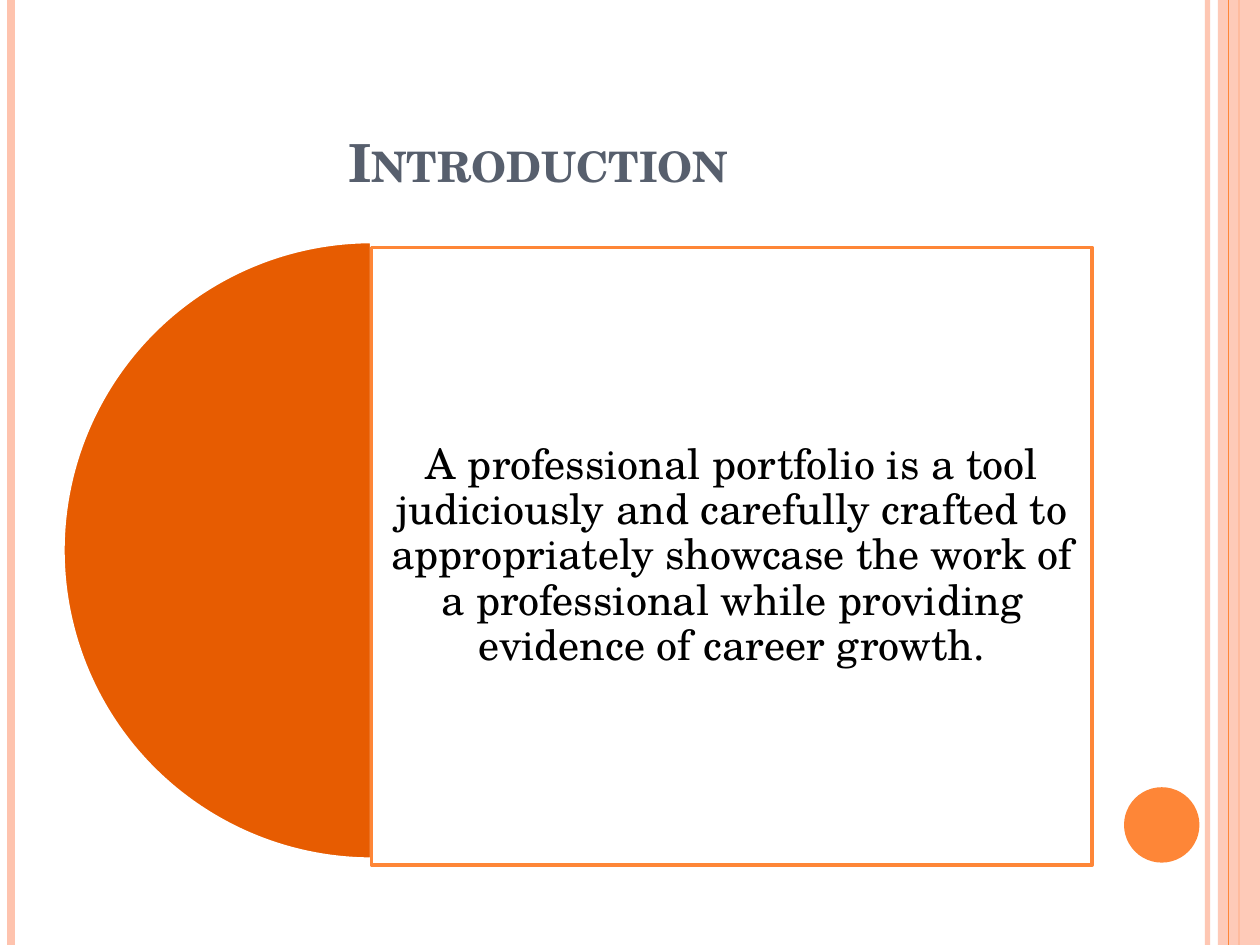
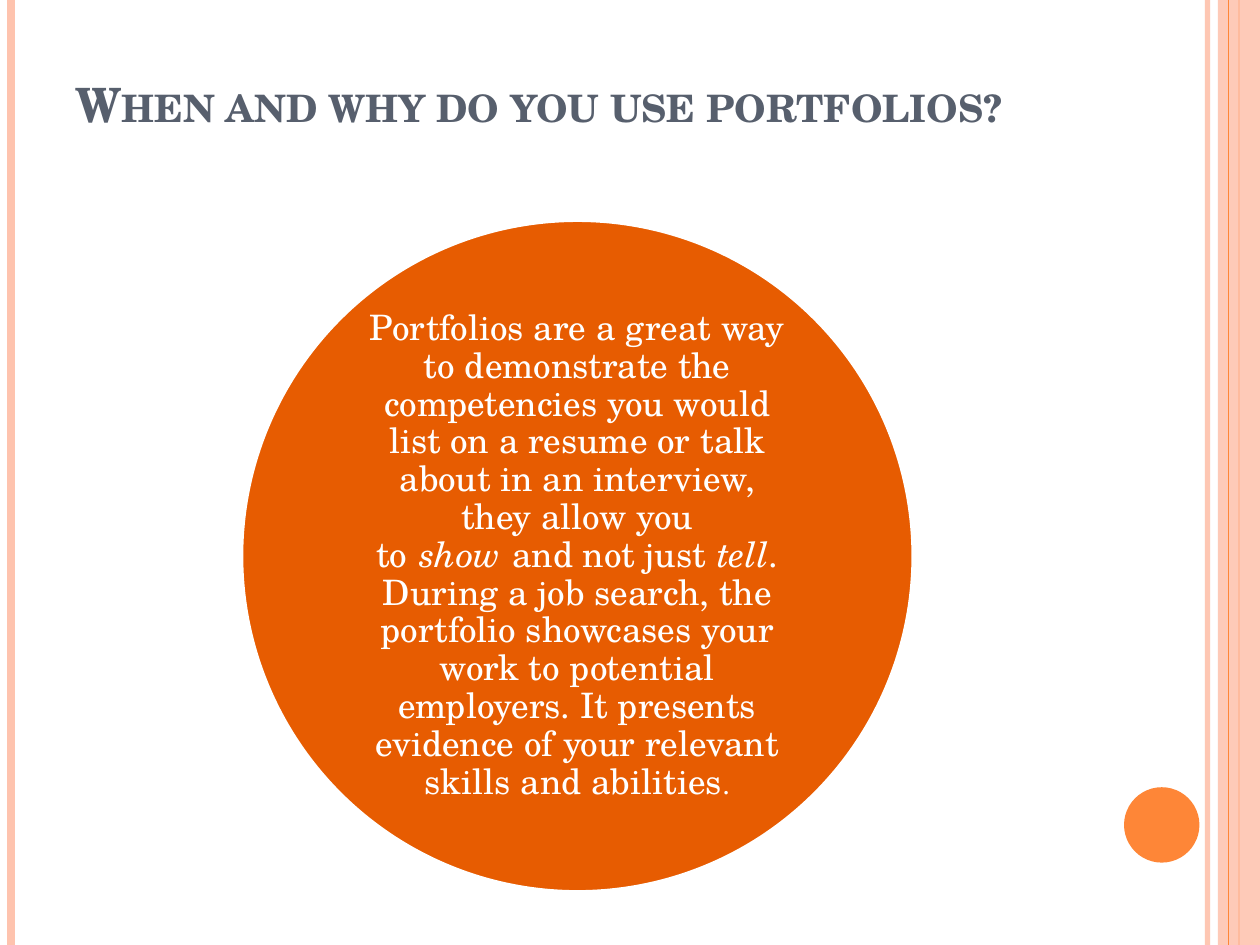
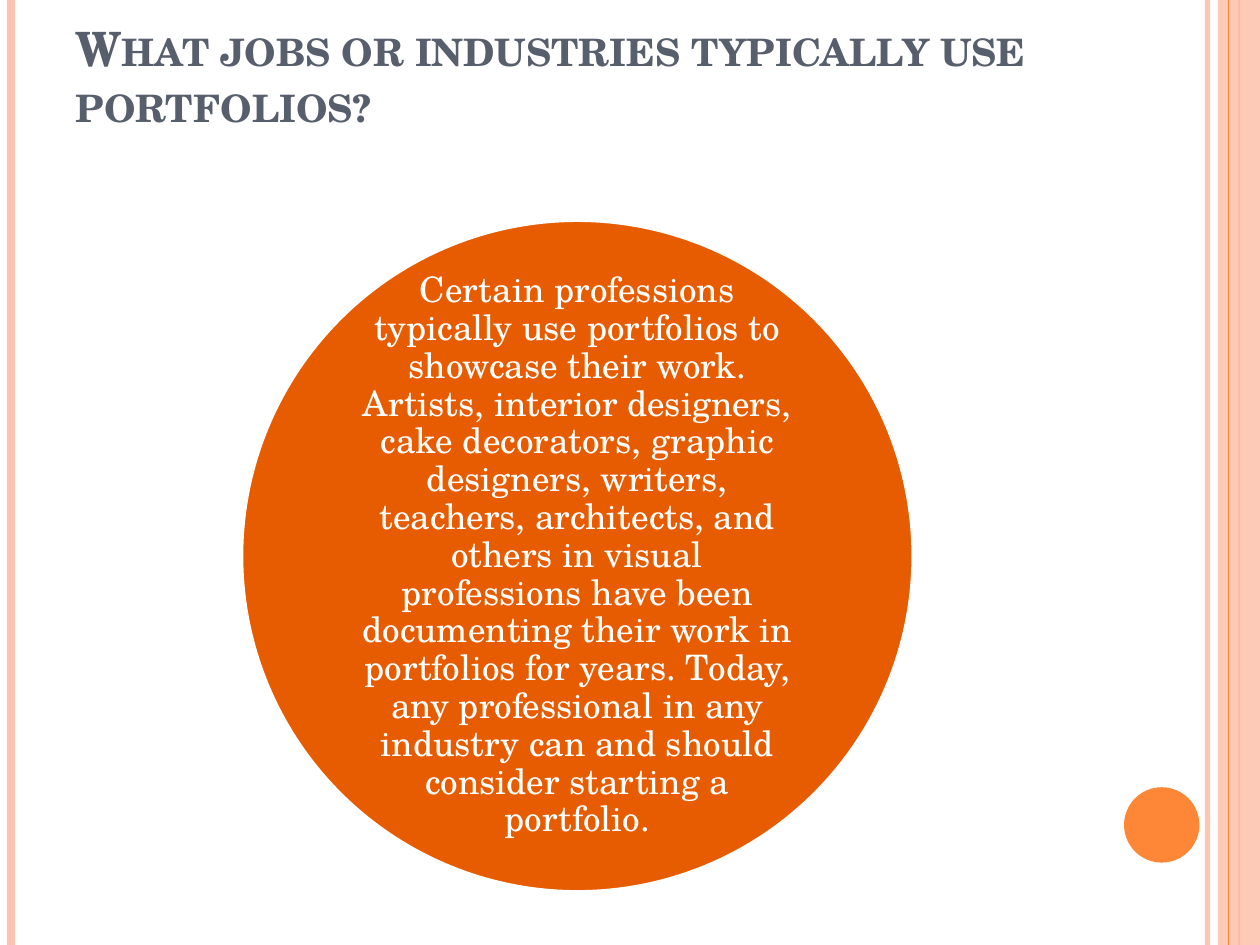
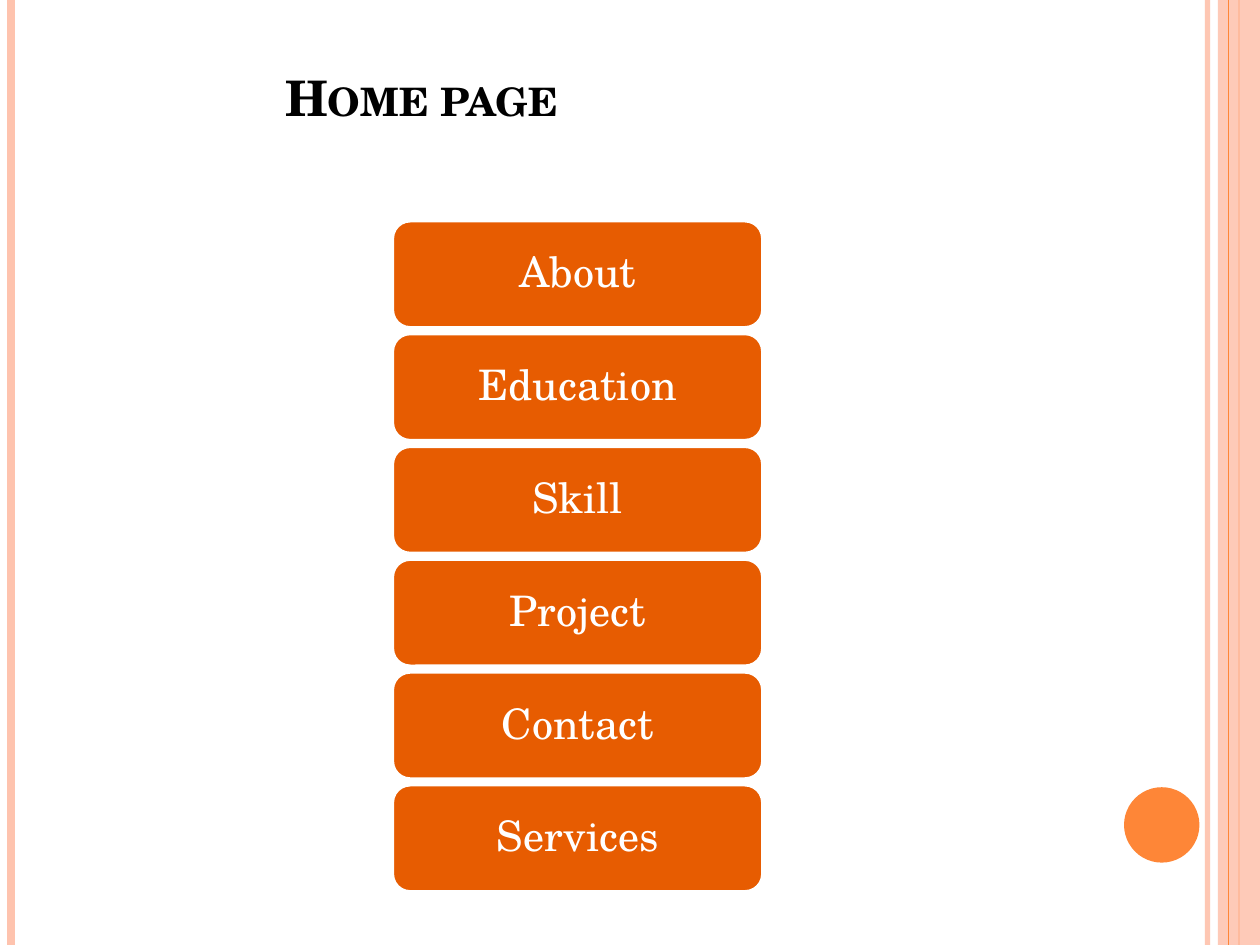
from pptx import Presentation
from pptx import util as u
from pptx.dml.color import RGBColor
from pptx.enum import shapes, text
from pptx.oxml.ns import qn
from lxml import etree

FONT = "TeX Gyre Schola"
ORANGE, DEEP, PEACH = "FE8637", "E75C01", "FEC3AE"
SLATE, WHITE, BLACK = "575F6D", "FFFFFF", "000000"
WIDTH, HEIGHT = 25.4, 19.05
HARD_SPACE = chr(160)

RULES = [
    {"x": 24.34, "color": PEACH, "weight": 3, "opacity": 93},
    {"x": 0.22, "color": PEACH, "weight": 4.5, "opacity": 100},
    {"x": 24.98, "color": ORANGE, "weight": 1.5, "opacity": 100},
]
EDGE_RULE = {"x": 24.77, "color": ORANGE, "weight": 0.75, "opacity": 100}
BAND = (24.55, 0, 0.85, HEIGHT)
DOT = (22.66, 15.87, 1.52, 1.52)

TITLES = [
    {"words": "Introduction", "at": (6.77, 0.85, 15.24, 3.18),
     "size": 30, "color": SLATE, "below": 0.13},
    {"words": "When and why do you use portfolios?", "at": (1.27, 0.76, 20.75, 3.18),
     "size": 27, "color": SLATE, "below": 1.28},
    {"words": "What jobs or industries typically use portfolios?",
     "at": (1.27, 0.2, 20.75, 3.74), "size": 27, "color": SLATE, "below": 1.27},
    {"words": "Home page", "at": (5.5, 0.76, 16.51, 3.18),
     "size": 28, "color": BLACK, "below": 1.39},
]

DEFINITION = [(
    "A professional portfolio is a tool judiciously and carefully crafted to "
    "appropriately showcase the work of a professional while providing evidence "
    "of career growth.", {})]
REASONS = [
    ("Portfolios are a great way to demonstrate the competencies you would list on "
     "a resume or talk about in an interview, they allow you to" + HARD_SPACE, {}),
    ("show", {"italic": True}),
    (HARD_SPACE + "and not just" + HARD_SPACE, {}),
    ("tell", {"italic": True}),
    (". During a job search, the portfolio showcases your work to potential "
     "employers. It presents evidence of your relevant skills and abilities", {}),
    (".", {"size": u.Pt(16)}),
]
INDUSTRIES = [(
    "Certain professions typically use portfolios to showcase their work. Artists, "
    "interior designers, cake decorators, graphic designers, writers, teachers, "
    "architects, and others in visual professions have been documenting their work "
    "in portfolios for years. Today, any professional in any industry can and should "
    "consider starting a portfolio.", {})]
MENU = ["About", "Education", "Skill", "Project", "Contact", "Services"]

HALF_DISC = (1.27, 4.87, 12.45, 12.45)
DEFINITION_PANEL = (7.49, 4.99, 14.53, 12.45)
CIRCLE = (4.87, 4.44, 13.54, 13.54)
MENU_AREA = (7.91, 4.45, 7.47, 13.53)
BUTTON_HEIGHT = 2.16


def rgb(value):
    return RGBColor.from_string(value)


def assign(target, values):
    for name, value in values.items():
        setattr(target, name, value)


def set_opacity(shape, percent):
    if percent < 100:
        color = next(shape.element.iter(qn("a:srgbClr")))
        etree.SubElement(color, qn("a:alpha")).set("val", str(percent * 1000))


def add_rule(page, x, color, weight, opacity):
    rule = page.shapes.add_connector(
        shapes.MSO_CONNECTOR.STRAIGHT, u.Cm(x), 0, u.Cm(x), u.Cm(HEIGHT))
    rule.line.color.rgb = rgb(color)
    rule.line.width = u.Pt(weight)
    set_opacity(rule, opacity)
    etree.SubElement(rule.element.spPr, qn("a:effectLst"))
    return rule


def add_block(page, kind, at, fill, outline=None, opacity=100):
    block = page.shapes.add_shape(kind, *map(u.Cm, at))
    block.shadow.inherit = False
    block.fill.solid()
    block.fill.fore_color.rgb = rgb(fill)
    set_opacity(block, opacity)
    if outline:
        block.line.color.rgb = rgb(outline)
        block.line.width = u.Pt(2)
    else:
        block.line.fill.background()
    return block


def write(block, pieces, size, color, inset):
    frame = block.text_frame
    assign(frame, {"word_wrap": True, "vertical_anchor": text.MSO_ANCHOR.MIDDLE})
    for side in ("left", "top", "right", "bottom"):
        setattr(frame, f"margin_{side}", u.Cm(inset))
    para = frame.paragraphs[0]
    assign(para, {"alignment": text.PP_ALIGN.CENTER, "line_spacing": 0.9})
    for words, changes in pieces:
        span = para.add_run()
        span.text = words
        assign(span.font, {"name": FONT, "size": u.Pt(size), **changes})
        span.font.color.rgb = rgb(color)


def decorate(layout, page):
    parts = [add_rule(page, **rule) for rule in RULES]
    parts.append(add_block(page, shapes.MSO_SHAPE.RECTANGLE, BAND, PEACH, opacity=87))
    parts.append(add_rule(page, **EDGE_RULE))
    parts.append(add_block(page, shapes.MSO_SHAPE.OVAL, DOT, ORANGE))
    for position, part in enumerate(parts, start=2):
        layout.shapes.element.insert(position, part.element)


def set_title(page, words, at, size, color, below):
    title = page.shapes.title
    assign(title, dict(zip(("left", "top", "width", "height"), map(u.Cm, at))))
    frame = title.text_frame
    frame.text = words
    assign(frame, {"word_wrap": True, "auto_size": text.MSO_AUTO_SIZE.NONE,
                   "vertical_anchor": text.MSO_ANCHOR.BOTTOM,
                   "margin_bottom": u.Cm(below)})
    para = frame.paragraphs[0]
    para.alignment = text.PP_ALIGN.LEFT
    span = para.runs[0]
    assign(span.font, {"name": FONT, "size": u.Pt(size), "bold": True})
    span.font.color.rgb = rgb(color)
    span.font._element.set("cap", "small")


def draw_definition(page):
    half_disc = add_block(page, shapes.MSO_SHAPE.PIE, HALF_DISC, DEEP, WHITE)
    half_disc.adjustments[0] = 54
    half_disc.adjustments[1] = 162
    panel = add_block(page, shapes.MSO_SHAPE.RECTANGLE, DEFINITION_PANEL,
                      WHITE, ORANGE, 90)
    write(panel, DEFINITION, 24, BLACK, 0.25)


def draw_circle(page, pieces):
    circle = add_block(page, shapes.MSO_SHAPE.OVAL, CIRCLE, DEEP, WHITE)
    write(circle, pieces, 20, WHITE, 0.41)


def draw_menu(page):
    left, top, width, height = MENU_AREA
    step = (height - BUTTON_HEIGHT) / (len(MENU) - 1)
    for row, label in enumerate(MENU):
        at = (left, top + row * step, width, BUTTON_HEIGHT)
        button = add_block(page, shapes.MSO_SHAPE.ROUNDED_RECTANGLE, at, DEEP, WHITE)
        write(button, [(label, {})], 24, WHITE, 0.2)


def main():
    deck = Presentation()
    deck.slide_width, deck.slide_height = u.Cm(WIDTH), u.Cm(HEIGHT)
    layout = deck.slide_layouts[5]
    pages = [deck.slides.add_slide(layout) for _ in TITLES]
    decorate(layout, pages[0])
    for page, title in zip(pages, TITLES):
        set_title(page, **title)
    introduction, reasons, industries, home = pages
    draw_definition(introduction)
    draw_circle(reasons, REASONS)
    draw_circle(industries, INDUSTRIES)
    draw_menu(home)
    deck.save("out.pptx")


if __name__ == "__main__":
    main()
